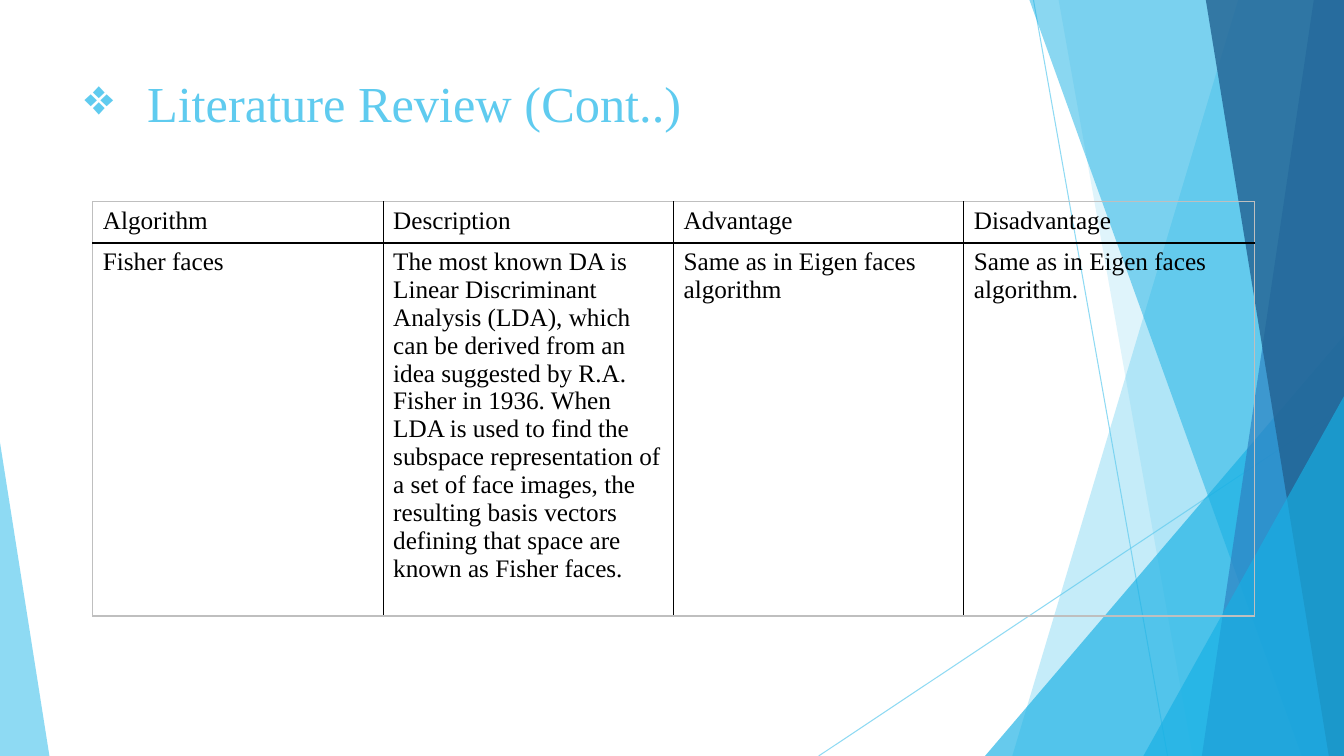
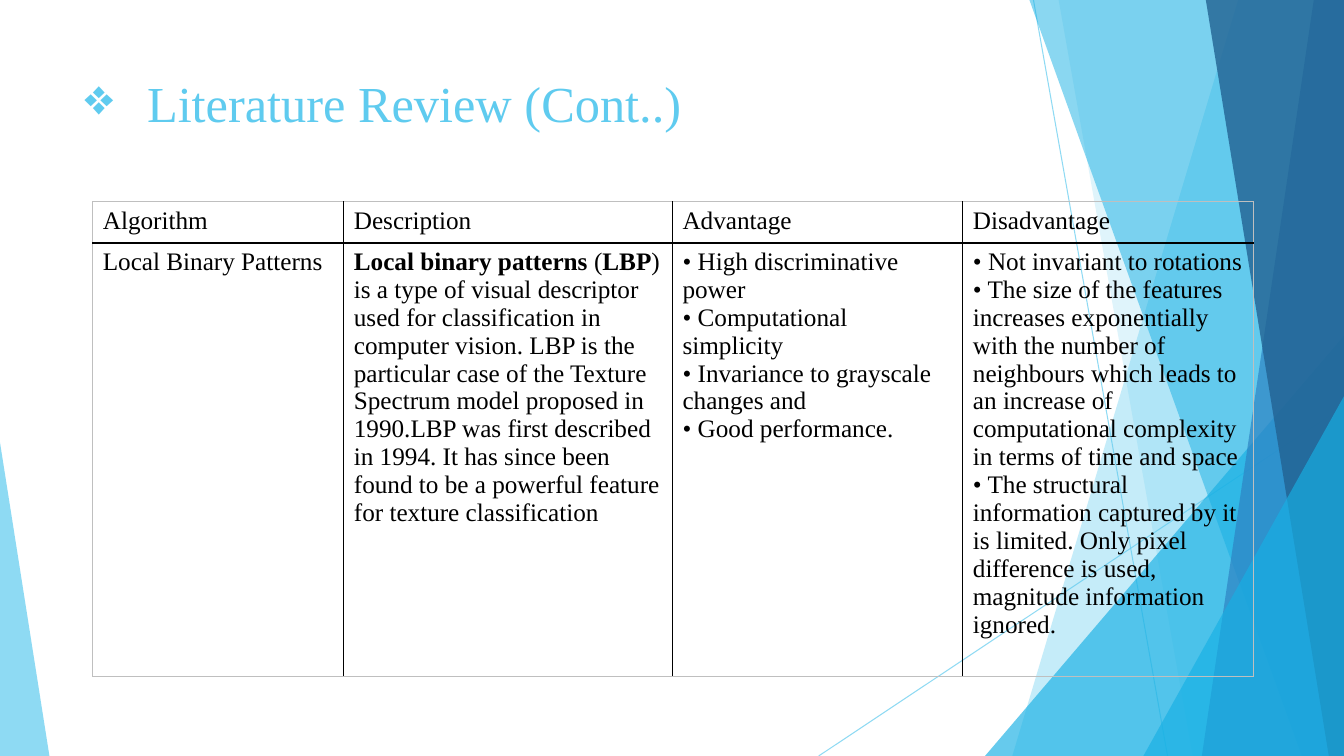
from typing import NamedTuple

from lxml.etree import SubElement
from pptx import Presentation
from pptx.dml.color import RGBColor
from pptx.enum.shapes import MSO_CONNECTOR, MSO_SHAPE
from pptx.enum.text import MSO_ANCHOR
from pptx.oxml.ns import qn
from pptx.util import Pt

EMU_PER_PX = 9144
FONT = "Times New Roman"
SKY = "5FCBEF"
AZURE = "17B0E4"
BLUE = "2E83C3"
NAVY = "226292"
BLACK = "000000"
GRAY = "BFBFBF"
HEADINGS = ["Algorithm", "Description", "Advantage", "Disadvantage"]


class Box(NamedTuple):
    left: int
    top: int
    width: int
    height: int

    @property
    def right(self):
        return self.left + self.width

    @property
    def bottom(self):
        return self.top + self.height


PAGE = Box(0, 0, 1333, 750)
TITLE = Box(74, 67, 940, 144)


def px(*lengths):
    return [length * EMU_PER_PX for length in lengths]


def color(hex_text):
    return RGBColor.from_string(hex_text)


def set_opacity(shape, percent):
    for tint in shape.element.iter(qn("a:srgbClr")):
        SubElement(tint, qn("a:alpha"), val=str(percent * 1000))


def paint(shape, tint, percent):
    shape.shadow.inherit = False
    shape.fill.solid()
    shape.fill.fore_color.rgb = color(tint)
    shape.line.fill.background()
    set_opacity(shape, percent)


def add_ray(shapes, start, end):
    ray = shapes.add_connector(MSO_CONNECTOR.STRAIGHT, *px(*start, *end))
    ray.line.color.rgb = color(SKY)
    ray.line.width = Pt(0.75)
    SubElement(ray.element.spPr, qn("a:effectLst"))
    set_opacity(ray, 70)


def add_ribbon(shapes, box, top_inset, bottom_inset, tint, percent):
    outline = shapes.build_freeform(box.right - top_inset, box.top, EMU_PER_PX)
    outline.add_line_segments([
        (box.right, box.top),
        (box.right, box.bottom),
        (box.right - bottom_inset, box.bottom),
    ])
    paint(outline.convert_to_shape(), tint, percent)


def add_corner(shapes, box, apex, width, height, tint, percent):
    left = box.left + apex * (box.width - width)
    corner = shapes.add_shape(
        MSO_SHAPE.ISOSCELES_TRIANGLE, *px(left, box.bottom - height, width, height))
    corner.adjustments[0] = apex
    paint(corner, tint, percent)


def add_backdrop(slide, box):
    shapes = slide.shapes
    add_ray(shapes, (box.right - 308, box.top), (box.right - 175, box.bottom))
    add_ray(shapes, (box.right, box.top + 403), (box.right - 521, box.bottom))
    add_ribbon(shapes, box, 105, 329, SKY, 36)
    add_ribbon(shapes, box, 283, 150, SKY, 20)
    add_corner(shapes, box, 1, 356, 417, AZURE, 66)
    add_ribbon(shapes, box, 312, 42, AZURE, 50)
    add_ribbon(shapes, box, 30, 141, BLUE, 70)
    add_ribbon(shapes, box, 137, 15, NAVY, 80)
    add_corner(shapes, box, 1, 199, 357, AZURE, 66)
    add_corner(shapes, box, 0, 49, 311, SKY, 70)


def style_paragraph(paragraph, size, tint):
    paragraph.font.name = FONT
    paragraph.font.size = Pt(size)
    paragraph.font.color.rgb = color(tint)


def add_title(slide, box, text):
    frame = slide.shapes.add_textbox(*px(*box)).text_frame
    frame.word_wrap = True
    frame.vertical_anchor = MSO_ANCHOR.TOP
    heading = frame.paragraphs[0]
    heading.text = text
    style_paragraph(heading, 36, SKY)
    properties = heading._p.get_or_add_pPr()
    indent, = px(62)
    properties.set("marL", str(indent))
    properties.set("indent", str(-indent))
    bullet = properties.makeelement(qn("a:buChar"), {"char": "❖"})
    properties.insert(0, bullet)


def write_cell(cell, lines):
    cell.fill.background()
    frame = cell.text_frame
    for number, line in enumerate(lines):
        paragraph = frame.add_paragraph() if number else frame.paragraphs[0]
        style_paragraph(paragraph, 18, BLACK)
        for position, part in enumerate(line.split("**")):
            if part:
                run = paragraph.add_run()
                run.text = part
                if position % 2:
                    run.font.bold = True


def set_borders(cell, tints):
    properties = cell._tc.get_or_add_tcPr()
    for position, (side, tint) in enumerate(tints.items()):
        border = properties.makeelement(qn(f"a:{side}"), {"w": str(Pt(1))})
        fill = SubElement(border, qn("a:solidFill"))
        SubElement(fill, qn("a:srgbClr"), val=tint)
        properties.insert(position, border)


def add_review_table(slide, box, column_widths, entries):
    rows = [[[heading] for heading in HEADINGS], entries]
    table = slide.shapes.add_table(len(rows), len(HEADINGS), *px(*box)).table
    table.first_row = False
    table.horz_banding = False
    for column, width in zip(table.columns, px(*column_widths)):
        column.width = width
    for row, height in zip(table.rows, px(41, box.height - 41)):
        row.height = height
    last_row, last_column = len(rows) - 1, len(HEADINGS) - 1
    for r, row in enumerate(rows):
        for c, lines in enumerate(row):
            cell = table.cell(r, c)
            write_cell(cell, lines)
            set_borders(cell, {
                "lnL": BLACK if c else GRAY,
                "lnR": BLACK if c < last_column else GRAY,
                "lnT": BLACK if r else GRAY,
                "lnB": BLACK if r < last_row else GRAY,
            })


def add_review_slide(deck, table_height, column_widths, entries):
    slide = deck.slides.add_slide(deck.slide_layouts[6])
    add_backdrop(slide, PAGE)
    add_title(slide, TITLE, "Literature Review (Cont..)")
    table_box = Box(92, 200, sum(column_widths), table_height)
    add_review_table(slide, table_box, column_widths, entries)


FISHER_FACES = [
    ["Fisher faces"],
    ["The most known DA is Linear Discriminant Analysis (LDA), which can be derived "
     "from an idea suggested by R.A. Fisher in 1936. When LDA is used to find the "
     "subspace representation of a set of face images, the resulting basis vectors "
     "defining that space are known as Fisher faces."],
    ["Same as in Eigen faces algorithm"],
    ["Same as in Eigen faces algorithm."],
]
BINARY_PATTERNS = [
    ["Local Binary Patterns"],
    ["**Local binary patterns** (**LBP**) is a type of visual descriptor used for "
     "classification in computer vision. LBP is the particular case of the Texture "
     "Spectrum model proposed in 1990.LBP was first described in 1994. It has since "
     "been found to be a powerful feature for texture classification"],
    ["• High discriminative power",
     "• Computational simplicity",
     "• Invariance to grayscale changes and",
     "• Good performance."],
    ["• Not invariant to rotations",
     "• The size of the features increases exponentially with the number of neighbours "
     "which leads to an increase of computational complexity in terms of time and space",
     "• The structural information captured by it is limited. Only pixel difference is "
     "used, magnitude information ignored."],
]


def main():
    deck = Presentation()
    deck.slide_width, deck.slide_height = px(PAGE.width, PAGE.height)
    add_review_slide(deck, 382, [288, 288, 288, 288], FISHER_FACES)
    add_review_slide(deck, 437, [249, 326, 288, 288], BINARY_PATTERNS)
    deck.save("out.pptx")


if __name__ == "__main__":
    main()
